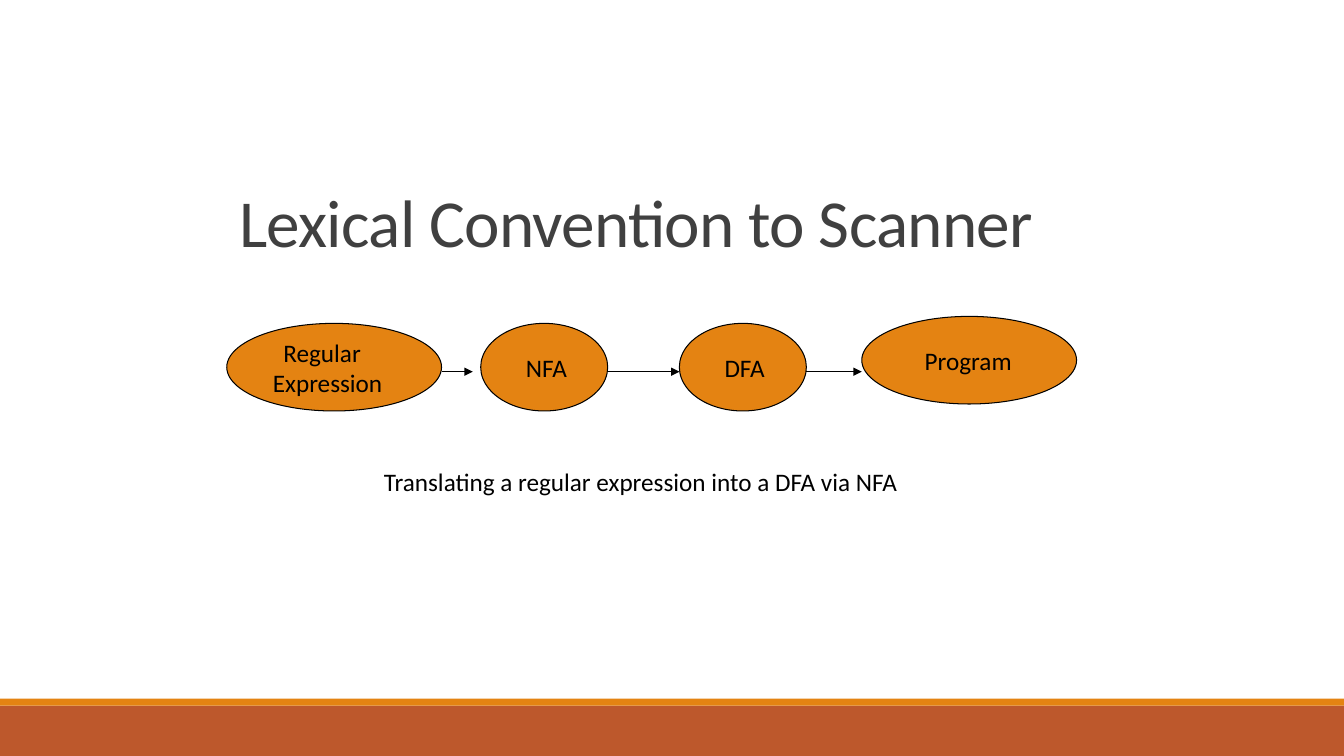
from lxml.etree import SubElement
from pptx import Presentation
from pptx.dml.color import RGBColor
from pptx.enum.shapes import MSO_CONNECTOR, MSO_SHAPE
from pptx.enum.text import MSO_ANCHOR, MSO_AUTO_SIZE, PP_ALIGN
from pptx.oxml.ns import qn
from pptx.util import Pt


def color(value):
    return RGBColor.from_string(value)


class Deck:
    """Holds the style and the current slide, and draws its elements."""

    font = "Calibri"
    ink = "000000"
    title_ink = "404040"
    orange = "E48312"
    rust = "BD582C"
    line_width = 0.75

    def __init__(self, width, height):
        self.prs = Presentation()
        self.prs.slide_width = Pt(width)
        self.prs.slide_height = Pt(height)
        self.s = self.prs.slides.add_slide(self.prs.slide_layouts[5])

    def format(self, p, size, ink):
        for r in p.runs:
            r.font.name = self.font
            r.font.size = Pt(size)
            r.font.color.rgb = color(ink)

    def margins(self, tf, x, y):
        tf.margin_left = tf.margin_right = Pt(x)
        tf.margin_top = tf.margin_bottom = Pt(y)

    def shape(self, kind, x, y, w, h, fill):
        sp = self.s.shapes.add_shape(kind, Pt(x), Pt(y), Pt(w), Pt(h))
        sp.shadow.inherit = False
        sp.fill.solid()
        sp.fill.fore_color.rgb = color(fill)
        sp.line.fill.background()
        return sp

    def title(self, text, x, y, w, h):
        sp = self.s.shapes.title
        sp.left, sp.top, sp.width, sp.height = Pt(x), Pt(y), Pt(w), Pt(h)
        tf = sp.text_frame
        tf.text = text
        tf.word_wrap = True
        tf.auto_size = MSO_AUTO_SIZE.NONE
        tf.vertical_anchor = MSO_ANCHOR.BOTTOM
        self.margins(tf, 7.2, 3.6)
        p = tf.paragraphs[0]
        p.alignment = PP_ALIGN.CENTER
        p.line_spacing = 0.85
        self.format(p, 48, self.title_ink)
        for r in p.runs:
            r.font._element.set("spc", "-50")

    def bar(self, y, h, fill):
        self.shape(MSO_SHAPE.RECTANGLE, 0, y, 960, h, fill)

    def stage(self, lines, x, y, w, h):
        sp = self.shape(MSO_SHAPE.OVAL, x, y, w, h, self.orange)
        sp.line.color.rgb = color(self.ink)
        sp.line.width = Pt(self.line_width)
        tf = sp.text_frame
        tf.text = "\n".join(text for text, indent in lines)
        tf.word_wrap = True
        tf.vertical_anchor = MSO_ANCHOR.MIDDLE
        self.margins(tf, 0, 0)
        for p, (text, indent) in zip(tf.paragraphs, lines):
            p.alignment = PP_ALIGN.LEFT
            p._p.get_or_add_pPr().set("marL", str(Pt(indent)))
            self.format(p, 18, self.ink)

    def arrow(self, x1, x2, y):
        c = self.s.shapes.add_connector(MSO_CONNECTOR.STRAIGHT, Pt(x1), Pt(y), Pt(x2), Pt(y))
        c.line.color.rgb = color(self.ink)
        c.line.width = Pt(self.line_width)
        SubElement(c.line._get_or_add_ln(), qn("a:tailEnd"), type="triangle")
        SubElement(c._element.spPr, qn("a:effectLst"))

    def caption(self, text, x, y, w, h):
        tf = self.s.shapes.add_textbox(Pt(x), Pt(y), Pt(w), Pt(h)).text_frame
        tf.text = text
        tf.word_wrap = False
        tf.auto_size = MSO_AUTO_SIZE.SHAPE_TO_FIT_TEXT
        self.format(tf.paragraphs[0], 18, self.ink)


def main():
    deck = Deck(960, 540)
    deck.bar(504, 36, deck.rust)
    deck.bar(499, 5, deck.orange)
    deck.title("Lexical Convention to Scanner", 139.7, 128.2, 629.3, 61.9)

    stages = [
        ([("Regular", 18), ("Expression", 10.5)], 162, 231, 153.4),
        ([("NFA", 19)], 343.4, 231, 90.7),
        ([("DFA", 19)], 485.3, 231, 90.7),
        ([("Program", 22.5)], 615.6, 226, 153.4),
    ]
    for lines, x, y, w in stages:
        deck.stage(lines, x, y, w, 62.6)
    for x1, x2 in [(315.4, 337.7), (434.1, 485.3), (576, 615.6)]:
        deck.arrow(x1, x2, 265.5)

    deck.caption("Translating a regular expression into a DFA via NFA", 267.1, 329.8, 385.2, 28.8)
    deck.prs.save("out.pptx")


if __name__ == "__main__":
    main()
